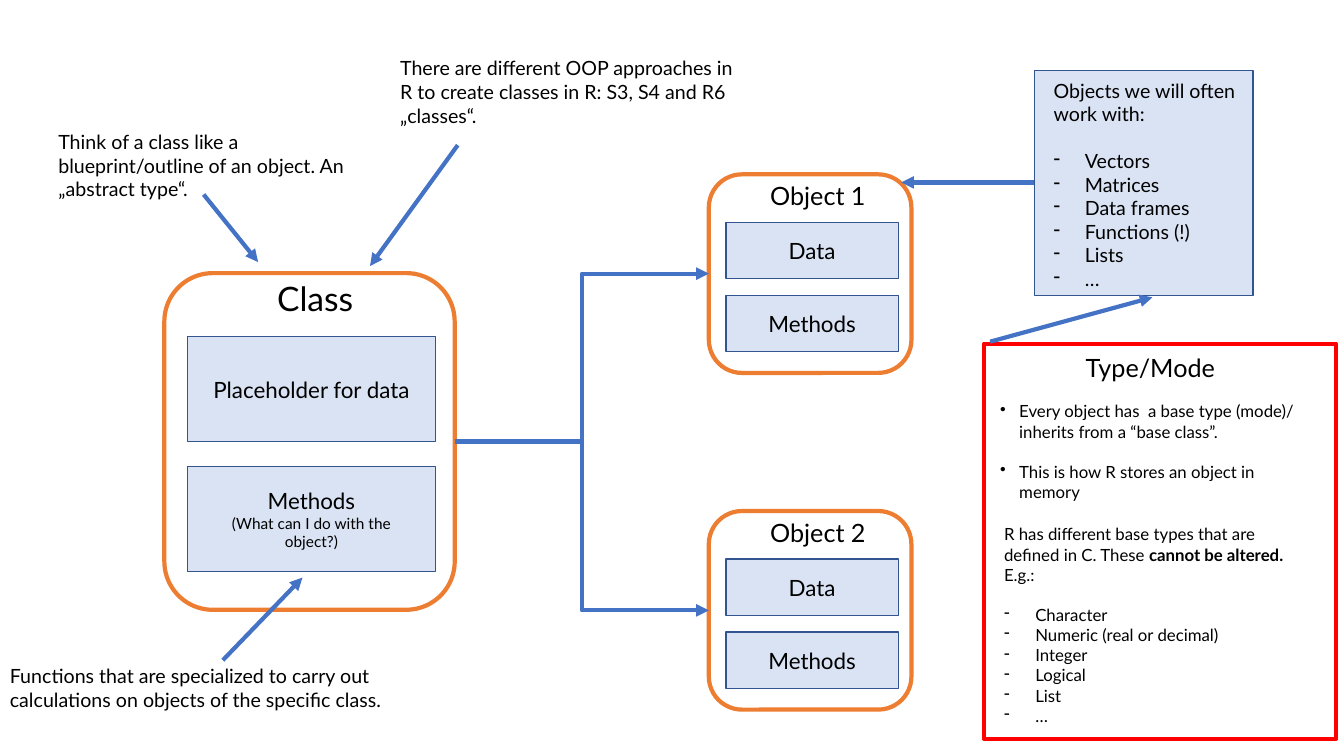
from typing import NamedTuple

from lxml import etree
from pptx import Presentation
from pptx import util as u
from pptx.dml.color import RGBColor
from pptx.enum import shapes, text
from pptx.oxml import ns

BLACK = RGBColor(0x00, 0x00, 0x00)
PALE_BLUE = RGBColor(0xDA, 0xE3, 0xF3)
DARK_BLUE = RGBColor(0x32, 0x54, 0x91)
BLUE = RGBColor(0x44, 0x72, 0xC4)
ORANGE = RGBColor(0xED, 0x7D, 0x31)
RED = RGBColor(0xFF, 0x00, 0x00)
FONT = "Lato"
CELL = u.Inches(0.1)  # one column or row of the slide grid
LINE_HEIGHT = 1.2
RECTANGLE = shapes.MSO_SHAPE.RECTANGLE
ROUNDED = shapes.MSO_SHAPE.ROUNDED_RECTANGLE


class Box(NamedTuple):
    """An area in grid columns and rows."""
    left: float
    top: float
    width: float
    height: float

    def inner(self, left, top, width, height):
        """Return an area placed relative to this one."""
        return Box(self.left + left, self.top + top, width, height)

    def point(self, left, top):
        """Return a grid point placed relative to this area."""
        return self.left + left, self.top + top

    def emu(self):
        """Return the area in slide units."""
        return [round(value * CELL) for value in self]


def add_box(slide, box, kind, line_color, line_width, fill=None):
    """Draw an outlined shape, filled if a colour is given."""
    shape = slide.shapes.add_shape(kind, *box.emu())
    shape.shadow.inherit = False
    if fill is None:
        shape.fill.background()
    else:
        shape.fill.solid()
        shape.fill.fore_color.rgb = fill
    shape.line.color.rgb = line_color
    shape.line.width = u.Pt(line_width)
    return shape


def add_paragraph(frame, content, size, align=text.PP_ALIGN.LEFT,
                  bullet=None, indent=0.31, gap_lines=0):
    """Append a paragraph, using the frame's first one while it is empty."""
    paragraph = frame.paragraphs[0]
    if paragraph.runs:
        paragraph = frame.add_paragraph()
    paragraph.add_run().text = content
    paragraph.alignment = align
    paragraph.font.name = FONT
    paragraph.font.size = u.Pt(size)
    paragraph.font.color.rgb = BLACK
    paragraph.space_after = u.Pt(gap_lines * LINE_HEIGHT * size)
    if bullet:
        properties = paragraph._p.get_or_add_pPr()
        properties.set("marL", str(u.Inches(indent)))
        properties.set("indent", str(-u.Inches(indent)))
        mark = etree.Element(ns.qn("a:buChar"), char=bullet)
        properties.find(ns.qn("a:defRPr")).addprevious(mark)
    return paragraph


def add_text(slide, box, content=None, size=14):
    """Place a wrapping text box and return its frame."""
    frame = slide.shapes.add_textbox(*box.emu()).text_frame
    frame.word_wrap = True
    if content:
        add_paragraph(frame, content, size)
    return frame


def add_label_box(slide, box, label, detail=None):
    """Draw a pale box with a centred label and optional small print."""
    shape = add_box(slide, box, RECTANGLE, DARK_BLUE, 1, PALE_BLUE)
    frame = shape.text_frame
    frame.margin_left = frame.margin_right = u.Inches(0.19)
    frame.vertical_anchor = text.MSO_ANCHOR.MIDDLE
    add_paragraph(frame, label, 16, text.PP_ALIGN.CENTER)
    if detail:
        add_paragraph(frame, detail, 11, text.PP_ALIGN.CENTER)


def add_arrow(slide, start, end, kind=shapes.MSO_CONNECTOR.STRAIGHT):
    """Draw a blue arrow between two grid points."""
    points = [round(value * CELL) for value in (*start, *end)]
    arrow = slide.shapes.add_connector(kind, *points)
    arrow.line.color.rgb = BLUE
    arrow.line.width = u.Pt(3)
    line = arrow._element.spPr.find(ns.qn("a:ln"))
    etree.SubElement(line, ns.qn("a:tailEnd")).set("type", "triangle")
    etree.SubElement(arrow._element.spPr, ns.qn("a:effectLst"))
    return arrow


def add_class(slide, box):
    """Draw the class with its data and methods boxes."""
    frame = add_box(slide, box, ROUNDED, ORANGE, 3)
    add_text(slide, box.inner(10.2, 0, 15.2, 5), "Class", 24)
    add_label_box(slide, box.inner(2.3, 6.3, 24.6, 10.4), "Placeholder for data")
    add_label_box(slide, box.inner(2.3, 19.2, 24.6, 10.4), "Methods",
                  "(What can I do with the object?)")
    return frame


def add_object(slide, box, name):
    """Draw one object with its data and methods boxes."""
    frame = add_box(slide, box, ROUNDED, ORANGE, 3)
    add_text(slide, box.inner(5.1, 0.1, 14, 4), name, 18)
    for row, label in enumerate(("Data", "Methods")):
        add_label_box(slide, box.inner(1.7, 4.75 + 7.25 * row, 17.1, 5.6), label)
    return frame


def add_instance_arrow(slide, class_frame, object_frame):
    """Link the class's right side to an object's left side."""
    arrow = add_arrow(slide, (0, 0), (1, 1), shapes.MSO_CONNECTOR.ELBOW)
    arrow.begin_connect(class_frame, 3)
    arrow.end_connect(object_frame, 1)


def add_note(slide, box, content, start, end):
    """Write a note with an arrow placed relative to its box."""
    add_text(slide, box, content)
    add_arrow(slide, box.point(*start), box.point(*end))


def add_common_objects(slide, box):
    """Draw the list of common objects and its arrow to the left."""
    shape = add_box(slide, box, RECTANGLE, DARK_BLUE, 1, PALE_BLUE)
    frame = shape.text_frame
    frame.vertical_anchor = text.MSO_ANCHOR.TOP
    frame.margin_left, frame.margin_top = u.Inches(0.19), u.Inches(0.08)
    frame.margin_right = 0
    add_paragraph(frame, "Objects we will often work with:", 14, gap_lines=1)
    for item in ("Vectors", "Matrices", "Data frames", "Functions (!)",
                 "Lists", "…"):
        add_paragraph(frame, item, 14, bullet="-")
    add_arrow(slide, box.point(0, 11.1), box.point(-13.2, 11.1))


def add_type_panel(slide, box):
    """Draw the panel on base types and its arrow to the list above."""
    add_box(slide, box, RECTANGLE, RED, 3)
    add_text(slide, box.inner(9.1, 0.4, 16.1, 4), "Type/Mode", 18)

    facts = add_text(slide, box.inner(0.6, 5.2, 33.2, 11.1))
    add_paragraph(facts, "Every object has  a base type (mode)/ inherits from "
                  "a “base class”.", 12, bullet="•", indent=0.19, gap_lines=1)
    add_paragraph(facts, "This is how R stores an object in memory", 12,
                  bullet="•", indent=0.19)

    types = add_text(slide, box.inner(1, 17.4, 31.9, 21.5))
    intro = add_paragraph(types, "R has different base types that are defined "
                          "in C. These ", 12, gap_lines=1)
    emphasis = intro.add_run()
    emphasis.text = "cannot be altered."
    emphasis.font.bold = True
    intro.add_run().text = " E.g.:"
    for item in ("Character", "Numeric (real or decimal)", "Integer",
                 "Logical", "List", "…"):
        add_paragraph(types, item, 12, bullet="-")
    add_arrow(slide, box.point(0.6, -0.2), box.point(16.7, -4.6))


def build_slide(presentation):
    """Lay out the class diagram, its notes and the side panels."""
    slide = presentation.slides.add_slide(presentation.slide_layouts[6])
    class_frame = add_class(slide, Box(16.3, 27.1, 28.8, 33.4))
    for number, top in enumerate((17.3, 50.7), start=1):
        object_frame = add_object(slide, Box(70.3, top, 20.1, 19.7),
                                  f"Object {number}")
        add_instance_arrow(slide, class_frame, object_frame)
    add_note(slide, Box(4.8, 12.4, 34.5, 8.1),
             "Think of a class like a blueprint/outline of an object. "
             "An „abstract type“.", (15.4, 6.9), (20.8, 13.6))
    add_note(slide, Box(38.7, 5.1, 35.3, 8.1),
             "There are different OOP approaches in R to create classes in R: "
             "S3, S4 and R6 „classes“.", (6.7, 9.3), (-2, 21.3))
    add_note(slide, Box(0, 65.4, 42.4, 5.7),
             "Functions that are specialized to carry out calculations on "
             "objects of the specific class.", (22.1, 0.1), (30, -8.1))
    add_common_objects(slide, Box(102.6, 7, 21.7, 22.3))
    add_type_panel(slide, Box(97.6, 34.1, 34.9, 39.2))


presentation = Presentation()
presentation.slide_width = u.Inches(13.33)
presentation.slide_height = u.Inches(7.5)
build_slide(presentation)
presentation.save("out.pptx")
